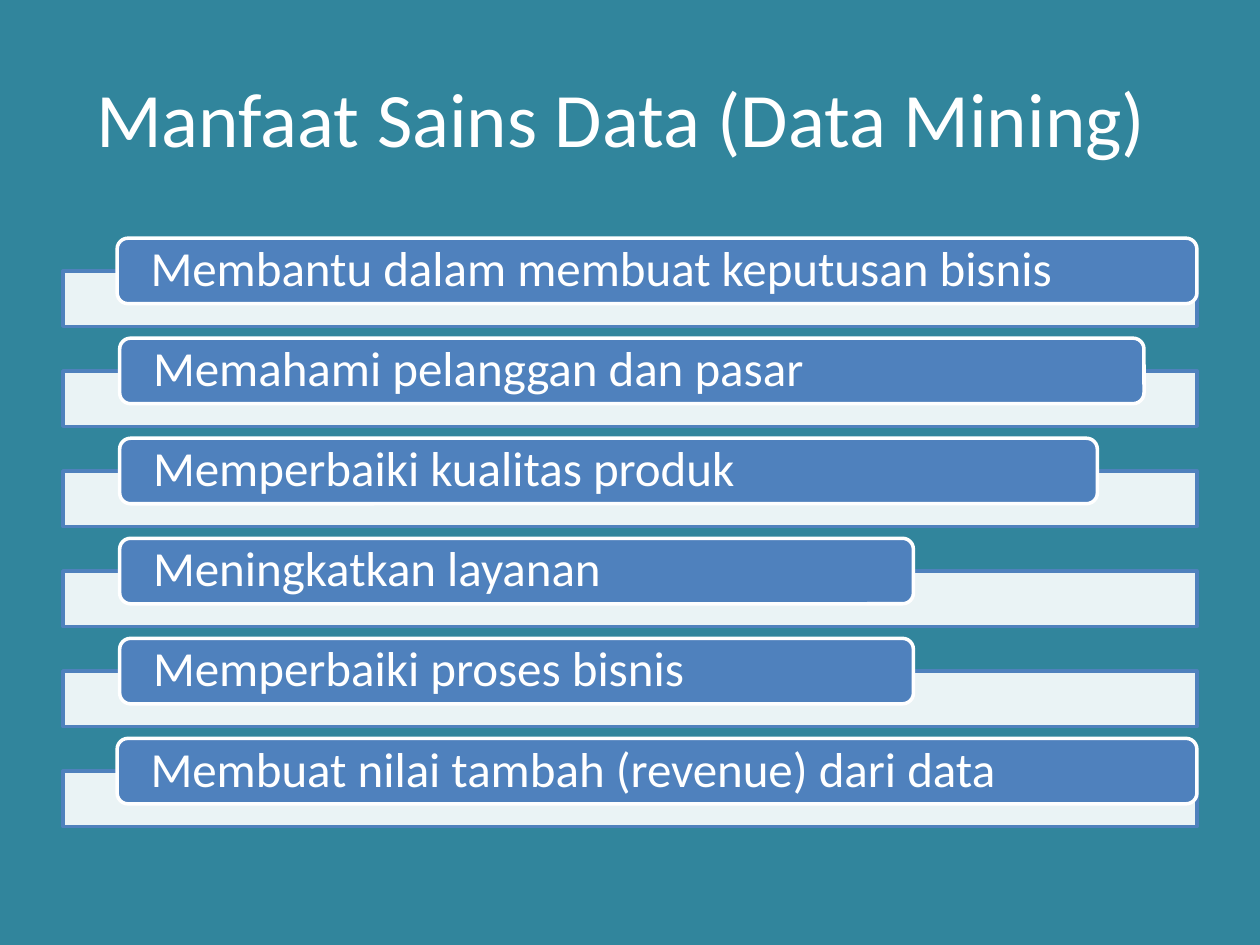
import pptx
import pptx.util
import pptx.dml.color
import pptx.enum.shapes
import pptx.enum.text
import pptx.oxml
import pptx.oxml.ns

Inches, Pt = pptx.util.Inches, pptx.util.Pt
SHAPES = pptx.enum.shapes.MSO_SHAPE
ALIGN = pptx.enum.text.PP_ALIGN

TITLE = "Manfaat Sains Data (Data Mining) "
# benefit, left edge and width of its label
BENEFITS = [
    ("Membantu dalam membuat keputusan bisnis", 0.93, 8.57),
    ("Memahami pelanggan dan pasar", 0.95, 8.13),
    ("Memperbaiki kualitas produk", 0.95, 7.76),
    ("Meningkatkan layanan", 0.95, 6.3),
    ("Memperbaiki proses bisnis", 0.95, 6.3),
    ("Membuat nilai tambah (revenue) dari data", 0.93, 8.57),
]
TEAL, BLUE, WHITE = "31859C", "4F81BD", "FFFFFF"
SLIDE_WIDTH, SLIDE_HEIGHT, MARGIN = 10, 7.5, 0.5
CONTENT_WIDTH = SLIDE_WIDTH - 2 * MARGIN
FIRST_LABEL_TOP, ROW_PITCH = 1.89, 0.794
LABEL_HEIGHT, BAR_HEIGHT, BAR_DROP = 0.52, 0.44, 0.26


def color(hex_value):
    return pptx.dml.color.RGBColor.from_string(hex_value)


def write(box, text, size, align, inset, spacing=1.0):
    frame = box.text_frame
    frame_format = {
        "word_wrap": True,
        "vertical_anchor": pptx.enum.text.MSO_ANCHOR.MIDDLE,
        "margin_left": Inches(inset), "margin_right": Inches(inset),
        "margin_top": 0, "margin_bottom": 0,
    }
    for key, value in frame_format.items():
        setattr(frame, key, value)
    paragraph = frame.paragraphs[0]
    paragraph.alignment, paragraph.line_spacing = align, spacing
    run = paragraph.add_run()
    run.text = text
    run.font.name, run.font.size = "Calibri", Pt(size)
    run.font.color.rgb = color(WHITE)


def add_block(slide, kind, place, fill, line):
    block = slide.shapes.add_shape(kind, *map(Inches, place))
    block.shadow.inherit = False
    block.fill.solid()
    block.fill.fore_color.rgb = color(fill)
    block.line.color.rgb = color(line)
    block.line.width = Pt(2)
    return block


def set_opacity(block, percent):
    fill_color = block.fill._xPr.find(".//" + pptx.oxml.ns.qn("a:srgbClr"))
    fill_color.append(pptx.oxml.parse_xml(
        f'<a:alpha {pptx.oxml.ns.nsdecls("a")} val="{percent * 1000}"/>'))


def main():
    deck = pptx.Presentation()
    deck.slide_width, deck.slide_height = Inches(SLIDE_WIDTH), Inches(SLIDE_HEIGHT)
    slide = deck.slides.add_slide(deck.slide_layouts[6])
    slide.background.fill.solid()
    slide.background.fill.fore_color.rgb = color(TEAL)

    title = slide.shapes.add_textbox(
        *map(Inches, (MARGIN, 0.3, CONTENT_WIDTH, 1.25)))
    write(title, TITLE, 44, ALIGN.CENTER, 0.1)

    for row, (benefit, left, width) in enumerate(BENEFITS):
        top = FIRST_LABEL_TOP + row * ROW_PITCH
        bar = add_block(slide, SHAPES.RECTANGLE,
                        (MARGIN, top + BAR_DROP, CONTENT_WIDTH, BAR_HEIGHT),
                        WHITE, BLUE)
        set_opacity(bar, 90)
        label = add_block(slide, SHAPES.ROUNDED_RECTANGLE,
                          (left, top, width, LABEL_HEIGHT), BLUE, WHITE)
        write(label, benefit, 28, ALIGN.LEFT, 0.24, 0.9)

    deck.save("out.pptx")


if __name__ == "__main__":
    main()
